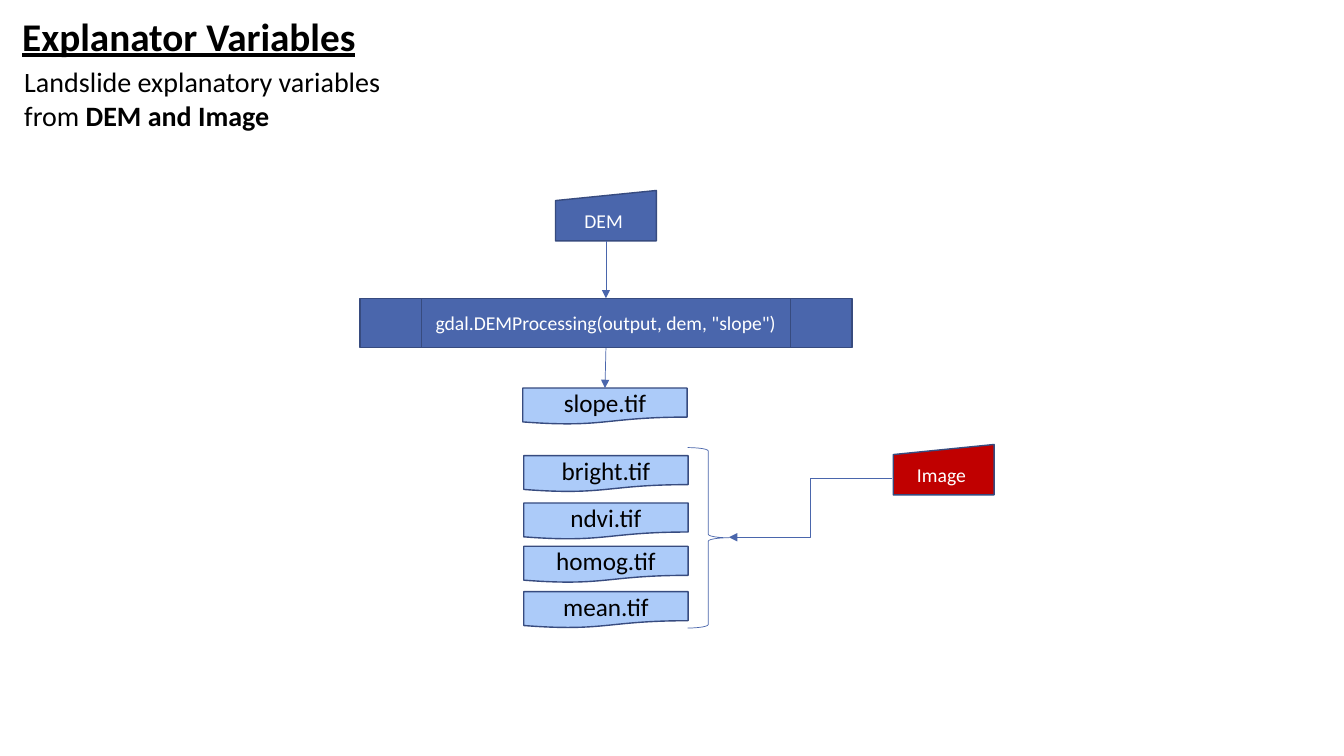
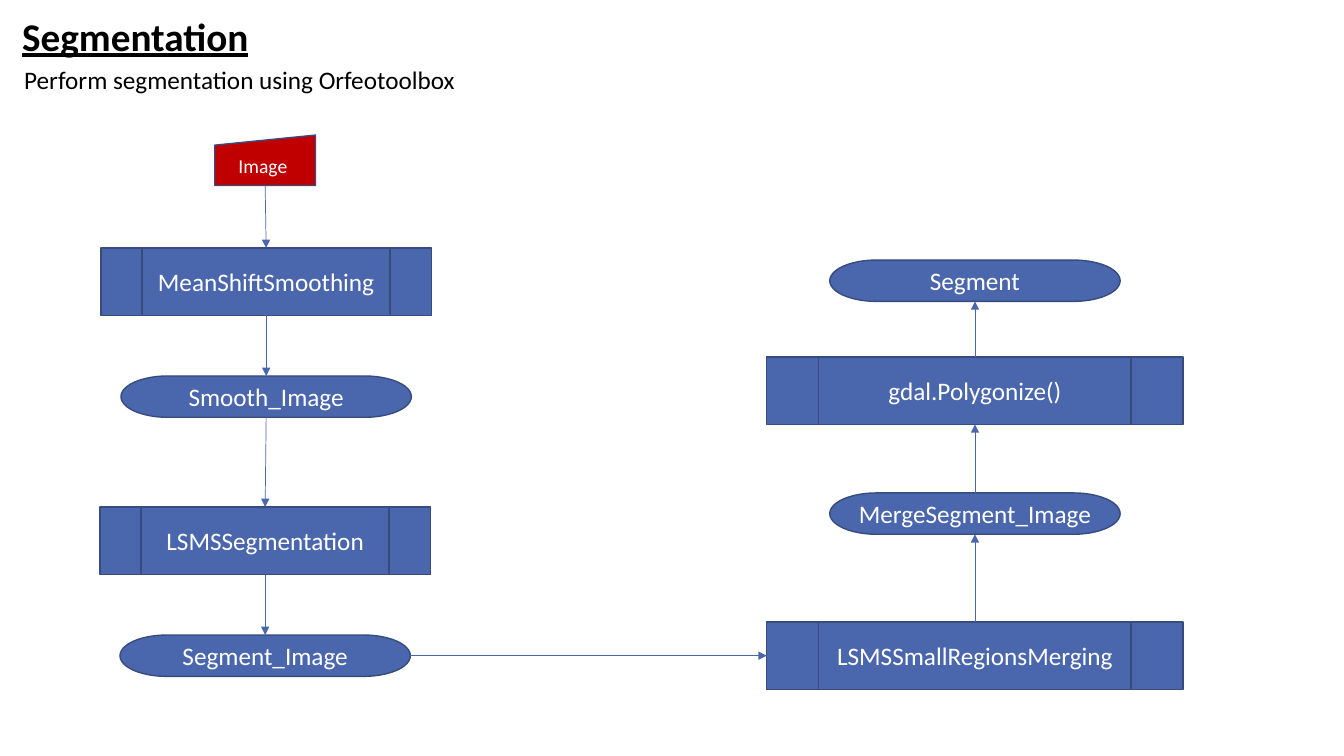
from itertools import pairwise
from lxml.etree import SubElement
from pptx import Presentation
from pptx.dml.color import RGBColor
from pptx.enum.shapes import MSO_CONNECTOR as Conn, MSO_SHAPE as Shape
from pptx.enum.text import MSO_ANCHOR as Anchor, MSO_AUTO_SIZE as Auto, PP_ALIGN as Align
from pptx.oxml.ns import qn
from pptx.util import Pt

PX = 9144  # 100 px to the inch
FONT = "Calibri"
HEX = {"blue": "4A66AC", "edge": "374B7F", "sky": "ACCBF9", "red": "C00000",
       "white": "FFFFFF", "black": "000000"}
TOP, LEFT, BOTTOM, RIGHT = range(4)
DOWN, UP, ACROSS = (BOTTOM, TOP), (TOP, BOTTOM), (RIGHT, LEFT)

# kind: preset, width, height, fill, text colour, text size
KINDS = {
    "input": (Shape.FLOWCHART_MANUAL_INPUT, 100, 50, "blue", "white", 14),
    "image": (Shape.FLOWCHART_MANUAL_INPUT, 100, 50, "red", "white", 14),
    "call": (Shape.FLOWCHART_PREDEFINED_PROCESS, 488, 49, "blue", "white", 14),
    "step": (Shape.FLOWCHART_PREDEFINED_PROCESS, 328, 67, "blue", "white", 18),
    "wide": (Shape.FLOWCHART_PREDEFINED_PROCESS, 413, 67, "blue", "white", 18),
    "result": (Shape.FLOWCHART_TERMINATOR, 288, 41, "blue", "white", 18),
    "file": (Shape.FLOWCHART_DOCUMENT, 163, 36, "sky", "black", 18),
}

# nodes: key, kind, text, centre x, top; chains: sides, keys in order
SLIDES = [
    {"title": "Explanator Variables",
     "lead": [("Landslide explanatory variables from ", False), ("DEM and Image", True)],
     "size": 20, "box": (14, 59, 425, 77),
     "nodes": [
         ("dem", "input", "DEM ", 601, 189),
         ("slope", "call", 'gdal.DEMProcessing(output, dem, "slope")', 601, 296),
         ("tif", "file", "slope.tif", 600, 385),
         ("bright", "file", "bright.tif", 601, 452),
         ("ndvi", "file", "ndvi.tif", 601, 499),
         ("homog", "file", "homog.tif", 601, 542),
         ("mean", "file", "mean.tif", 601, 587),
         ("image", "image", "Image ", 936, 441)],
     "chains": [(DOWN, ["dem", "slope", "tif"])],
     "brace": (682, 444, 41, 179), "elbow": (885, 475, 723, 533)},
    {"title": "Segmentation",
     "lead": [("Perform segmentation using Orfeotoolbox", False)],
     "size": 18, "box": (14, 59, 465, 40),
     "nodes": [
         ("image", "image", "Image ", 263, 134),
         ("shift", "step", "MeanShiftSmoothing", 264, 246),
         ("smooth", "result", "Smooth_Image", 264, 373),
         ("lsms", "step", "LSMSSegmentation", 263, 503),
         ("segs", "result", "Segment_Image", 263, 630),
         ("small", "wide", "LSMSSmallRegionsMerging", 967, 617),
         ("merge", "result", "MergeSegment_Image", 967, 489),
         ("poly", "wide", "gdal.Polygonize()", 967, 354),
         ("final", "result", "Segment", 967, 258)],
     "chains": [(DOWN, ["image", "shift", "smooth", "lsms", "segs"]),
                (ACROSS, ["segs", "small"]),
                (UP, ["small", "merge", "poly", "final"])]},
]


def px(*vals):
    return [int(v * PX) for v in vals]


def tint(name):
    return RGBColor.from_string(HEX[name])


def write(para, text, size, color, bold=False, under=False):
    run = para.add_run()
    run.text = text
    font = run.font
    font.name, font.size, font.bold, font.underline = FONT, Pt(size), bold, under
    font.color.rgb = tint(color)


def stroke(item, color, width):
    item.line.color.rgb = tint(color)
    item.line.width = Pt(width)


def head(holder, box, runs, size, under=False):
    """Move a placeholder and fill it with plain left-aligned text."""
    holder.left, holder.top, holder.width, holder.height = px(*box)
    frame = holder.text_frame
    frame.auto_size, frame.vertical_anchor = Auto.NONE, Anchor.TOP
    para = frame.paragraphs[0]
    para.alignment, para.space_before = Align.LEFT, Pt(0)
    props = para._p.get_or_add_pPr()
    props.set("marL", "0")
    props.set("indent", "0")
    SubElement(props, qn("a:buNone"))
    for text, bold in runs:
        write(para, text, size, "black", bold, under)


def node(slide, kind, text, mid, top):
    preset, wide, high, fill, ink, size = KINDS[kind]
    shape = slide.shapes.add_shape(preset, *px(mid - wide / 2, top, wide, high))
    shape.shadow.inherit = False
    shape.fill.solid()
    shape.fill.fore_color.rgb = tint(fill)
    stroke(shape, "edge", 1)
    shape.text_frame.vertical_anchor = Anchor.MIDDLE
    para = shape.text_frame.paragraphs[0]
    para.alignment = Align.CENTER
    write(para, text, size, ink)
    return shape


def arrow(slide, kind, ends=(0, 0, 0, 0)):
    line = slide.shapes.add_connector(kind, *px(*ends))
    stroke(line, "blue", 0.5)
    props = line._element.spPr
    SubElement(props.find(qn("a:ln")), qn("a:tailEnd"), type="triangle")
    SubElement(props, qn("a:effectLst"))
    return line


def build(deck, page):
    slide = deck.slides.add_slide(deck.slide_layouts[1])
    # Title and lead text
    head(slide.shapes.title, (12, 7, 375, 57), [(page["title"], True)], 28, True)
    head(slide.placeholders[1], page["box"], page["lead"], page["size"])
    # Flow chart
    nodes = {key: node(slide, *rest) for key, *rest in page["nodes"]}
    for (out, into), keys in page["chains"]:
        for a, b in pairwise(keys):
            line = arrow(slide, Conn.STRAIGHT)
            line.begin_connect(nodes[a], out)
            line.end_connect(nodes[b], into)
    # Brace around the image files
    if "brace" in page:
        brace = slide.shapes.add_shape(Shape.RIGHT_BRACE, *px(*page["brace"]))
        brace.shadow.inherit = False
        brace.fill.background()
        stroke(brace, "blue", 0.5)
        arrow(slide, Conn.ELBOW, page["elbow"])


def main():
    deck = Presentation()
    deck.slide_width, deck.slide_height = px(1333, 750)
    for page in SLIDES:
        build(deck, page)
    deck.save("out.pptx")


if __name__ == "__main__":
    main()
